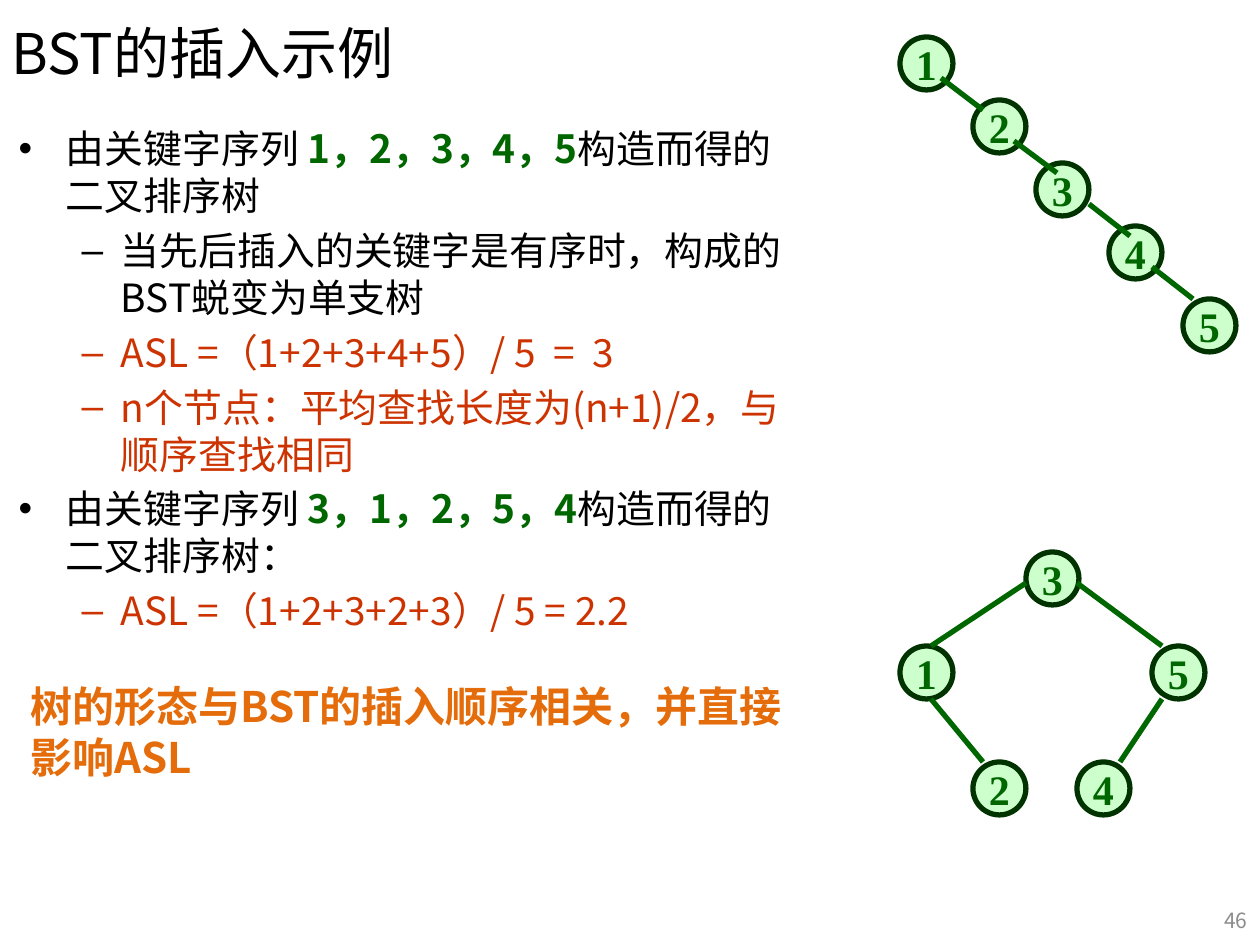
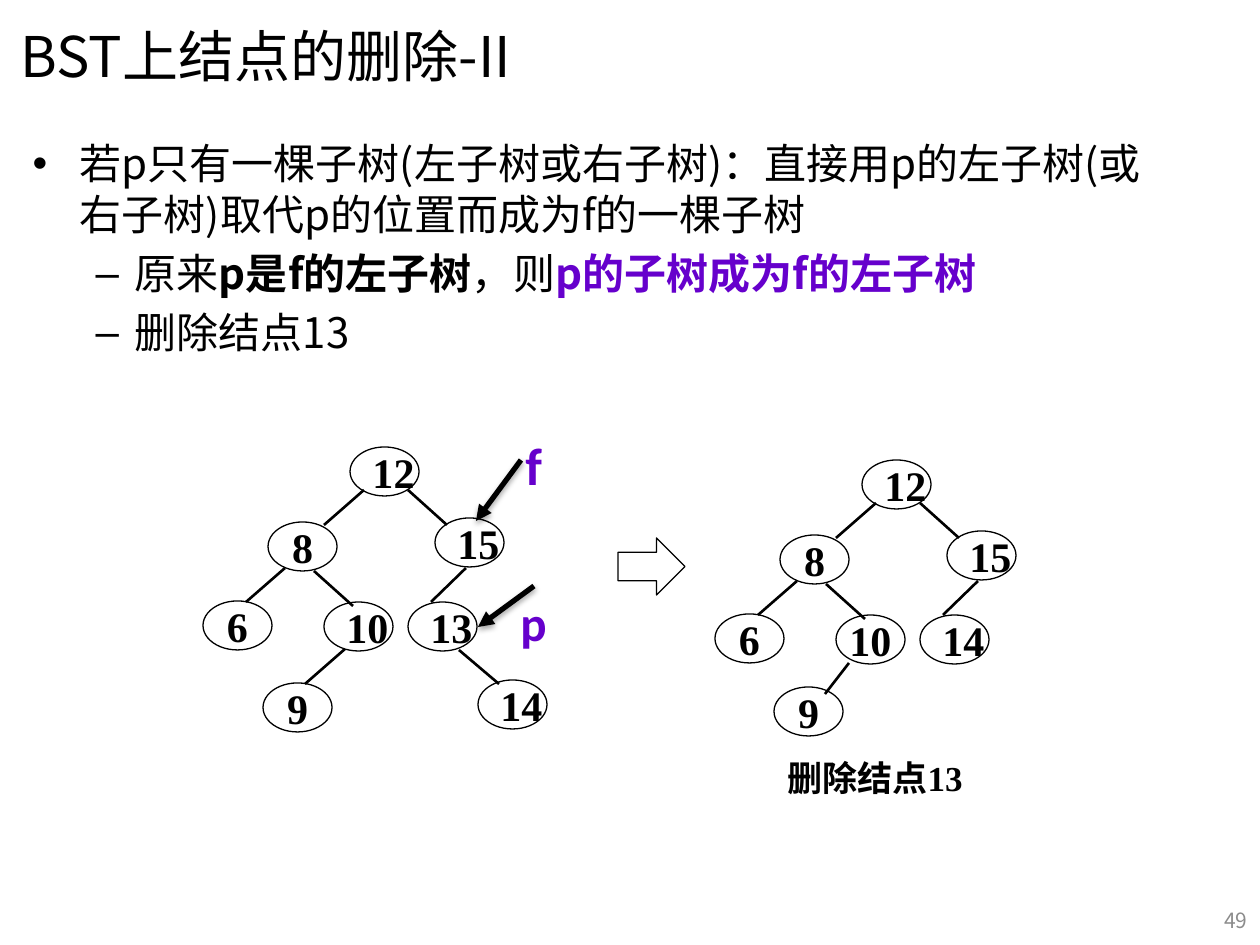
"""Build two slides on inserting into and deleting from binary search trees."""
from lxml import etree
from pptx import Presentation
from pptx.dml.color import RGBColor
from pptx.enum.shapes import MSO_CONNECTOR, MSO_SHAPE
from pptx.enum.text import MSO_ANCHOR, MSO_AUTO_SIZE, PP_ALIGN
from pptx.oxml.ns import qn
from pptx.util import Pt

LEFT, CENTER, RIGHT = PP_ALIGN.LEFT, PP_ALIGN.CENTER, PP_ALIGN.RIGHT
MIDDLE, TOP = MSO_ANCHOR.MIDDLE, MSO_ANCHOR.TOP
NO_FIT = MSO_AUTO_SIZE.NONE
STRAIGHT = MSO_CONNECTOR.STRAIGHT
ELLIPSE, RIGHT_ARROW = MSO_SHAPE.OVAL, MSO_SHAPE.RIGHT_ARROW

BLACK = RGBColor(0x00, 0x00, 0x00)
GRAY = RGBColor(0x8C, 0x8C, 0x8C)
GREEN = RGBColor(0x00, 0x66, 0x00)
DARK_GREEN = RGBColor(0x00, 0x33, 0x00)
PALE_GREEN = RGBColor(0xCC, 0xFF, 0xCC)
RED = RGBColor(0xCC, 0x33, 0x00)
ORANGE = RGBColor(0xE4, 0x6C, 0x0A)
PURPLE = RGBColor(0x66, 0x00, 0xCC)

SANS, TITLE_FONT = "Noto Sans CJK SC", "Noto Sans CJK JP"
SERIF, LABEL_FONT = "Times New Roman", "Calibri"
EMU_PER_PX = 914400 / 126
LINE_RATIO = 1.21

INSERT = {
    "title": ("BST的插入示例", (-1, -1, 1134, 106)),
    "number": "46",
    "box": (6, 118, 801, 513),
    "size": 22.2,
    "body": [
        (0, BLACK, [("由关键字序列 ", None), ("1，2，3，4，5", GREEN), ("构造而得的二叉排序树", None)]),
        (1, BLACK, [("当先后插入的关键字是有序时，构成的BST蜕变为单支树", None)]),
        (1, RED, [("ASL =（1+2+3+4+5）/ 5  =  3", None)]),
        (1, RED, [("n个节点：平均查找长度为(n+1)/2，与顺序查找相同", None)]),
        (0, BLACK, [("由关键字序列 ", None), ("3，1，2，5，4", GREEN), ("构造而得的二叉排序树：", None)]),
        (1, RED, [("ASL =（1+2+3+2+3）/ 5 = 2.2", None)]),
    ],
}
CONCLUSION = "树的形态与BST的插入顺序相关，并直接影响ASL"
DELETE = {
    "title": ("BST上结点的删除-II", (8, 3, 1134, 105)),
    "number": "49",
    "box": (20, 131, 1134, 262),
    "size": 24,
    "body": [
        (0, BLACK, [("若p只有一棵子树(左子树或右子树)：直接用p的左子树(或右子树)取代p的位置而成为f的一棵子树", None)]),
        (1, BLACK, [("原来", None), ("p是f的左子树", BLACK), ("，则", None), ("p的子树成为f的左子树", PURPLE)]),
        (1, BLACK, [("删除结点13", None)]),
    ],
}

CHAIN_NODES = [("1", 900, 37), ("2", 973, 100), ("3", 1036, 163), ("4", 1109, 226), ("5", 1183, 299)]
CHAIN_EDGES = [(941, 78, 983, 110), (1014, 141, 1057, 173), (1089, 204, 1130, 236), (1152, 267, 1193, 299)]
BUSHY_NODES = [("3", 1026, 552), ("5", 1152, 646), ("4", 1077, 762), ("1", 900, 646), ("2", 973, 762)]
BUSHY_EDGES = [(1026, 583, 931, 646), (1077, 583, 1162, 646), (931, 699, 983, 762), (1162, 699, 1120, 762)]

KEPT_NODES = [("12", 350, 447), ("8", 268, 522), ("6", 203, 601), ("15", 435, 518)]
KEPT_EDGES = [(364, 490, 324, 525), (408, 490, 447, 525), (285, 568, 246, 602),
              (314, 571, 353, 606), (466, 568, 431, 602)]
BEFORE_NODES = [("10", 324, 602), ("13", 408, 602), ("14", 478, 680), ("9", 263, 683)]
BEFORE_EDGES = [(459, 650, 499, 684), (345, 649, 305, 684)]
AFTER_NODES = [("14", 408, 602), ("9", 262, 674)]
AFTER_EDGES = [(337, 650, 313, 681)]
CENTERED_10 = [("10", 324, 602)]
AFTER_SHIFT = (512, 13)
POINTERS = [("p", 28, (508, 586, 52, 72), (534, 586, 478, 627)),
            ("f", 30, (513, 427, 43, 77), (521, 460, 476, 521))]

GREEN_STYLE = dict(size=(53, 53), fill=PALE_GREEN, line=DARK_GREEN, weight=3, color=GREEN)
PLAIN_STYLE = dict(size=(69, 49), fill=None, line=BLACK, weight=0.75, color=BLACK)


def px(*values):
    return [round(v * EMU_PER_PX) for v in values]


def set_font(font, name, size, color, bold=False):
    font.name, font.size, font.bold = name, Pt(size), bold
    font.color.rgb = color
    east_asian = name if name in (SANS, TITLE_FONT) else SANS
    etree.SubElement(font._element, qn("a:ea")).set("typeface", east_asian)


def add_text(s, box, text, name, size, color, bold=True, align=LEFT, anchor=TOP, wrap=False):
    tf = s.shapes.add_textbox(*px(*box)).text_frame
    tf.word_wrap, tf.vertical_anchor = wrap, anchor
    p = tf.paragraphs[0]
    p.text, p.alignment = text, align
    set_font(p.font, name, size, color, bold)
    return p


def add_shape(s, kind, box, fill, line, weight):
    sp = s.shapes.add_shape(kind, *px(*box))
    sp.shadow.inherit = False
    if fill is None:
        sp.fill.background()
    else:
        sp.fill.solid()
        sp.fill.fore_color.rgb = fill
    sp.line.color.rgb, sp.line.width = line, Pt(weight)
    return sp


def add_line(s, ends, color, weight):
    line = s.shapes.add_connector(STRAIGHT, *px(*ends))
    line.line.color.rgb, line.line.width = color, Pt(weight)
    etree.SubElement(line._element.spPr, qn("a:effectLst"))
    return line


def add_pointer(s, ends):
    sp_pr = add_line(s, ends, BLACK, 3)._element.spPr
    etree.SubElement(sp_pr.find(qn("a:ln")), qn("a:tailEnd")).set("type", "triangle")
    shadow = etree.SubElement(sp_pr.find(qn("a:effectLst")), qn("a:outerShdw"),
                              blurRad="40000", dist="23000", dir="5400000", rotWithShape="0")
    color = etree.SubElement(shadow, qn("a:srgbClr"), val="000000")
    etree.SubElement(color, qn("a:alpha"), val="35000")


def add_tree(s, nodes, edges, style, edge_color, edge_weight, shift=(0, 0), centered=()):
    dx, dy = shift
    for node in nodes:
        key, x, y = node
        sp = add_shape(s, ELLIPSE, (x + dx, y + dy, *style["size"]),
                       style["fill"], style["line"], style["weight"])
        tf = sp.text_frame
        tf.word_wrap, tf.vertical_anchor = False, MIDDLE
        p = tf.paragraphs[0]
        p.text = key
        p.alignment = CENTER if len(key) == 1 or node in centered else LEFT
        set_font(p.font, SERIF, 24, style["color"], True)
    for x1, y1, x2, y2 in edges:
        add_line(s, (x1 + dx, y1 + dy, x2 + dx, y2 + dy), edge_color, edge_weight)


def place(sp, box):
    sp.left, sp.top, sp.width, sp.height = px(*box)
    sp.text_frame.auto_size = NO_FIT
    return sp.text_frame


def add_slide(prs, content):
    s = prs.slides.add_slide(prs.slide_layouts[1])
    title, box = content["title"]
    tf = place(s.shapes.title, box)
    tf.vertical_anchor = MIDDLE
    p = tf.paragraphs[0]
    p.text, p.alignment = title, LEFT
    set_font(p.font, TITLE_FONT, 32, BLACK)

    tf = place(s.placeholders[1], content["box"])
    size = content["size"]
    for i, (level, color, runs) in enumerate(content["body"]):
        p = tf.add_paragraph() if i else tf.paragraphs[0]
        p.level = level
        p.line_spacing = Pt(size * LINE_RATIO)
        if i == 0:
            p.space_before = Pt(0)
        set_font(p.font, SANS, size, color)
        for text, accent in runs:
            r = p.add_run()
            r.text = text
            if accent is not None:
                r.font.bold = True
                r.font.color.rgb = accent
    add_text(s, (1206, 895, 54, 50), content["number"], SANS, 12, GRAY,
             bold=False, align=RIGHT, anchor=MIDDLE, wrap=True)
    return s


def main():
    prs = Presentation()
    prs.slide_width, prs.slide_height = px(1260, 945)

    s = add_slide(prs, INSERT)
    add_tree(s, CHAIN_NODES, CHAIN_EDGES, GREEN_STYLE, GREEN, 3)
    add_tree(s, BUSHY_NODES, BUSHY_EDGES, GREEN_STYLE, GREEN, 3)
    p = add_text(s, (18, 674, 811, 115), CONCLUSION, SANS, 24, ORANGE, wrap=True)
    p.line_spacing = Pt(24 * LINE_RATIO)

    s = add_slide(prs, DELETE)
    add_tree(s, KEPT_NODES + BEFORE_NODES, KEPT_EDGES + BEFORE_EDGES, PLAIN_STYLE, BLACK, 1.5)
    for label, size, box, ends in POINTERS:
        add_pointer(s, ends)
        add_text(s, box, label, LABEL_FONT, size, PURPLE)
    add_shape(s, RIGHT_ARROW, (618, 538, 67, 57), None, BLACK, 0.75)
    add_tree(s, KEPT_NODES + CENTERED_10 + AFTER_NODES, KEPT_EDGES + AFTER_EDGES,
             PLAIN_STYLE, BLACK, 1.5, AFTER_SHIFT, CENTERED_10)
    add_text(s, (775, 753, 262, 49), "删除结点13", SERIF, 20, BLACK, anchor=MIDDLE)

    prs.save("out.pptx")


if __name__ == "__main__":
    main()
